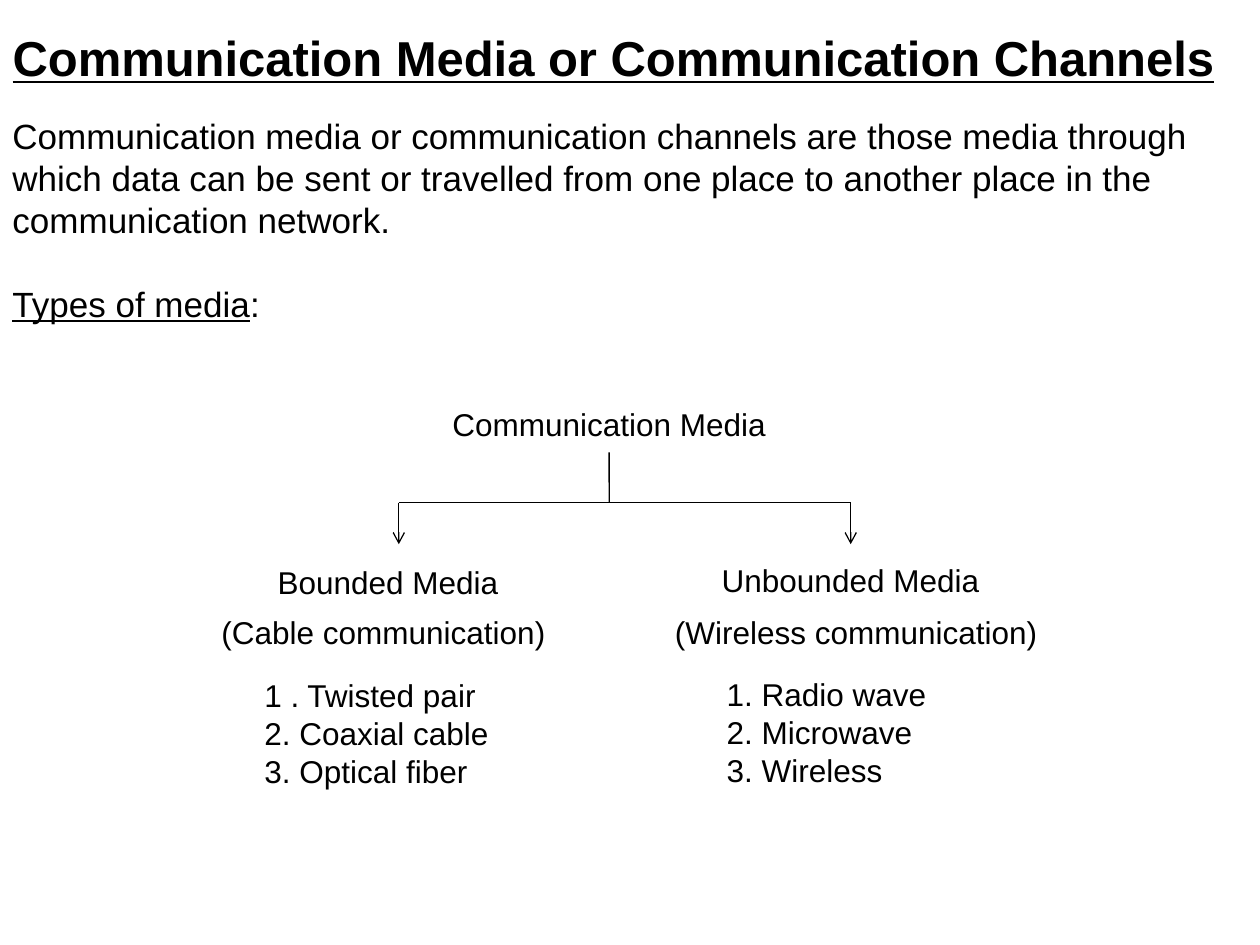
from lxml import etree
from pptx import Presentation
from pptx import util as u
from pptx.dml.color import RGBColor
from pptx.enum import shapes, text
from pptx.oxml.ns import qn

BLACK = "000000"
LEFT, CENTER = text.PP_ALIGN.LEFT, text.PP_ALIGN.CENTER


def color(value):
    return RGBColor.from_string(value)


def write(shape, lines, size, alignment, anchor=text.MSO_ANCHOR.TOP, hanging=0, gap=0):
    """Fill a shape with paragraphs, each one a list of (words, font values)."""
    frame = shape.text_frame
    frame.word_wrap = True
    frame.auto_size = text.MSO_AUTO_SIZE.NONE
    frame.vertical_anchor = anchor
    for index, runs in enumerate(lines):
        paragraph = frame.paragraphs[0] if index == 0 else frame.add_paragraph()
        paragraph.alignment = alignment
        if index:
            paragraph.space_before = u.Pt(gap)
        if hanging:
            properties = paragraph._p.get_or_add_pPr()
            properties.set("marL", str(u.Cm(hanging)))
            properties.set("indent", str(-u.Cm(hanging)))
        for words, values in runs:
            run = paragraph.add_run()
            run.text = words
            run.font.color.rgb = color(BLACK)
            for name, value in {"name": "Arial", "size": u.Pt(size), **values}.items():
                setattr(run.font, name, value)


presentation = Presentation()
presentation.slide_width, presentation.slide_height = u.Cm(25.4), u.Cm(19.05)
slide = presentation.slides.add_slide(presentation.slide_layouts[5])

# Title
title = slide.shapes.title
title.left, title.top, title.width, title.height = u.Cm(0), u.Cm(0.5), u.Cm(25.2), u.Cm(1.3)
write(title, [[("Communication Media or Communication Channels", {"bold": True, "underline": True})]],
      28, LEFT, text.MSO_ANCHOR.MIDDLE)

# Definition
definition = slide.shapes.add_textbox(u.Cm(0), u.Cm(2.18), u.Cm(25.2), u.Cm(4.5))
write(definition, [
    [("Communication media or communication channels are those media through which data can be "
      "sent or travelled from one place to another place in the communication network.", {})],
    [("Types of media", {"underline": True}), (":", {})],
], 20, LEFT, gap=24)

# Tree labels: words, left, top, width
labels = [
    ("Communication Media", 8.79, 8.05, 6.98),
    ("Bounded Media", 5.28, 11.23, 5.08),
    ("Unbounded Media", 13.97, 11.18, 6.35),
    ("(Cable communication)", 3.6, 12.24, 8.26),
    ("(Wireless communication)", 13.13, 12.24, 8.26),
]
boxes = {}
for words, left, top, width in labels:
    boxes[words] = slide.shapes.add_textbox(u.Cm(left), u.Cm(top), u.Cm(width), u.Cm(1.07))
    write(boxes[words], [[(words, {})]], 18, CENTER)

# Examples under each branch
examples = [
    (5.08, 13.51, ["1 . Twisted pair", "2. Coaxial cable", "3. Optical fiber"]),
    (14.4, 13.49, ["1. Radio wave", "2. Microwave", "3. Wireless"]),
]
for left, top, items in examples:
    box = slide.shapes.add_textbox(u.Cm(left), u.Cm(top), u.Cm(5.28), u.Cm(2.54))
    write(box, [[(item, {})] for item in items], 18, LEFT, hanging=0.97)

# Tree lines: start, end, arrowhead
trunk_x, left_x, right_x = 12.28, 8.04, 17.15
root_y, bar_y, tip_y = 9.12, 10.13, 10.97
lines = [
    ((left_x, bar_y), (right_x, bar_y), False),
    ((trunk_x, root_y), (trunk_x, bar_y), False),
    ((left_x, bar_y), (left_x, tip_y), True),
    ((right_x, bar_y), (right_x, tip_y), True),
]
for start, end, arrow in lines:
    connector = slide.shapes.add_connector(
        shapes.MSO_CONNECTOR.STRAIGHT, *(u.Cm(value) for value in start + end))
    connector.line.color.rgb = color(BLACK)
    connector.line.width = u.Pt(0.75)
    if arrow:
        etree.SubElement(connector.line._get_or_add_ln(), qn("a:tailEnd"), type="arrow")
    etree.SubElement(connector._element.spPr, qn("a:effectLst"))
    if start == (trunk_x, root_y):
        connector.begin_connect(boxes["Communication Media"], 2)

presentation.save("out.pptx")
